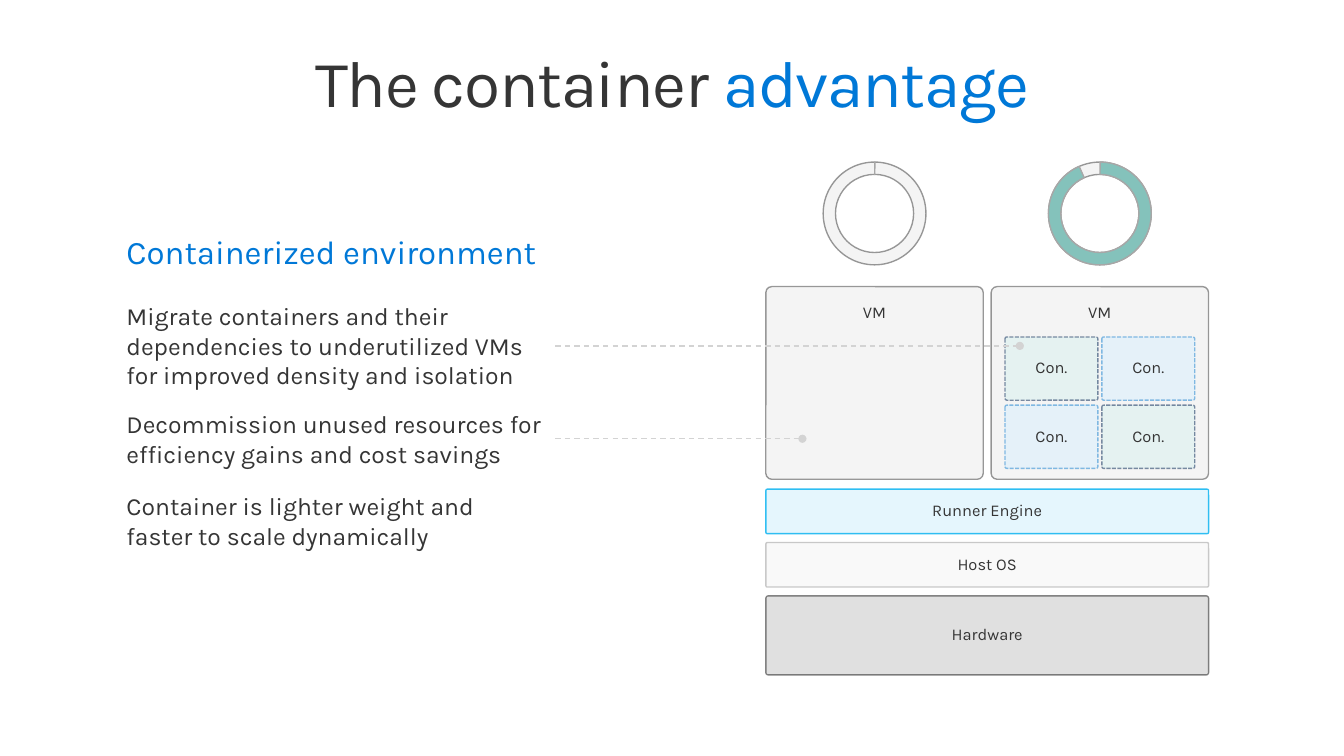
from lxml.etree import SubElement
from pptx import Presentation
from pptx.dml.color import RGBColor
from pptx.enum.dml import MSO_LINE as Dash
from pptx.enum.shapes import MSO_CONNECTOR as Link, MSO_SHAPE as Kind
from pptx.enum.text import MSO_ANCHOR as Anchor, PP_ALIGN as Align
from pptx.oxml.ns import qn
from pptx.util import Inches, Pt

deck = Presentation()
deck.slide_width, deck.slide_height = Inches(13.6), Inches(7.65)
unit = deck.slide_width / 136
slide = deck.slides.add_slide(deck.slide_layouts[6])
shapes = slide.shapes

INK, BLUE, GRAY, TEAL, NAVY, CYAN = "353535", "0078D7", "969696", "84C2BB", "002050", "00B0F0"


def paint(fill, color, alpha=100):
    fill.solid()
    fill.fore_color.rgb = RGBColor.from_string(color)
    if alpha < 100:
        tint = fill._xPr.find(".//" + qn("a:srgbClr"))
        SubElement(tint, qn("a:alpha"), val=str(alpha * 1000))


def write(frame, *parts, size=18, align=Align.LEFT, anchor=Anchor.MIDDLE,
          pad=(1.6, 1.6), lead=None, track=None):
    frame.word_wrap = True
    frame.vertical_anchor = anchor
    frame.margin_left = frame.margin_right = int(pad[0] * unit)
    frame.margin_top = frame.margin_bottom = int(pad[1] * unit)
    para = frame.paragraphs[0]
    para.alignment = align
    para.line_spacing = lead
    for text, color in parts:
        run = para.add_run()
        run.text = text
        run.font.name = "Karla"
        run.font.size = Pt(size)
        paint(run.font.fill, color)
        if track:
            run.font._element.set("spc", str(track))


title = shapes.add_textbox(*[int(n * unit) for n in (3, 4.1, 130, 10)])
write(title.text_frame, ("The container ", INK), ("advantage", BLUE), size=48,
      align=Align.CENTER, anchor=Anchor.TOP, pad=(1.6, 1), lead=0.9, track=-100)

left, full, half, step = 77.5, 44.8, 22, 22.8
boxes = [
    ("Hardware", left, 60.3, full, 8, INK, 15, INK, 60),
    ("Host OS", left, 54.9, full, 4.5, GRAY, 5, GRAY, 50),
    ("Runner Engine", left, 49.5, full, 4.5, CYAN, 10, CYAN, 80),
]
for col in range(2):
    boxes.append(("VM", left + col * step, 29, half, 19.5, INK, 5, INK, 50))
for row in range(2):
    for col in range(2):
        look = ("E5F2F1", 100, NAVY, 50) if row == col else ("E5F1F9", 100, "7FB8E2", 100)
        boxes.append(("Con.", 101.7 + col * 9.8, 34.1 + row * 6.9, 9.4, 6.4, *look))

for text, x, y, w, h, color, alpha, edge, clear in boxes:
    box = shapes.add_shape(Kind.ROUNDED_RECTANGLE, *[int(n * unit) for n in (x, y, w, h)])
    box.adjustments[0] = 0.031
    box.shadow.inherit = False
    paint(box.fill, color, alpha)
    paint(box.line.fill, edge, clear)
    box.line.width = Pt(1)
    if text == "Con.":
        box.line.dash_style = Dash.SQUARE_DOT
    write(box.text_frame, (text, INK), size=12, align=Align.CENTER, pad=(2, 1.6), lead=0.9,
          anchor=Anchor.TOP if text == "VM" else Anchor.MIDDLE)

for col, end in enumerate((162.21, 147.81)):
    for kind, turns, color, alpha, edge, clear in (
            (Kind.DONUT, (0.12,), INK, 5, INK, 50),
            (Kind.BLOCK_ARC, (162.17, end, 0.12), TEAL, 100, "A7A7A7", 100)):
        ring = shapes.add_shape(
            kind, *[int(n * unit) for n in (83.3 + col * step, 16.4, 10.4, 10.4)])
        for spot, turn in enumerate(turns):
            ring.adjustments[spot] = turn
        ring.shadow.inherit = False
        paint(ring.fill, color, alpha)
        paint(ring.line.fill, edge, clear)
        ring.line.width = Pt(1)

for text, y, w, h, size, color, anchor in (
        ("Containerized environment", 21.8, 58.6, 7.4, 24, BLUE, Anchor.TOP),
        ("Migrate containers and their dependencies to underutilized VMs "
         "for improved density and isolation", 28.7, 43.6, 12.5, 18, INK, Anchor.MIDDLE),
        ("Decommission unused resources for efficiency gains and cost savings",
         39.7, 47.8, 9.4, 18, INK, Anchor.MIDDLE),
        ("Container is lighter weight and faster to scale dynamically",
         48, 42.1, 9.4, 18, INK, Anchor.MIDDLE)):
    note = shapes.add_textbox(*[int(n * unit) for n in (11.2, y, w, h)])
    write(note.text_frame, (text, color), size=size, anchor=anchor)

for end, y in ((103.2, 35), (81.2, 44.4)):
    lead = shapes.add_connector(Link.STRAIGHT, *[int(n * unit) for n in (56.2, y, end, y)])
    paint(lead.line.fill, "D3D3D3")
    lead.line.width = Pt(1)
    lead.line.dash_style = Dash.DASH
    SubElement(lead.line._get_or_add_ln(), qn("a:tailEnd"), type="oval")
    SubElement(lead._element.spPr, qn("a:effectLst"))

deck.save("out.pptx")
